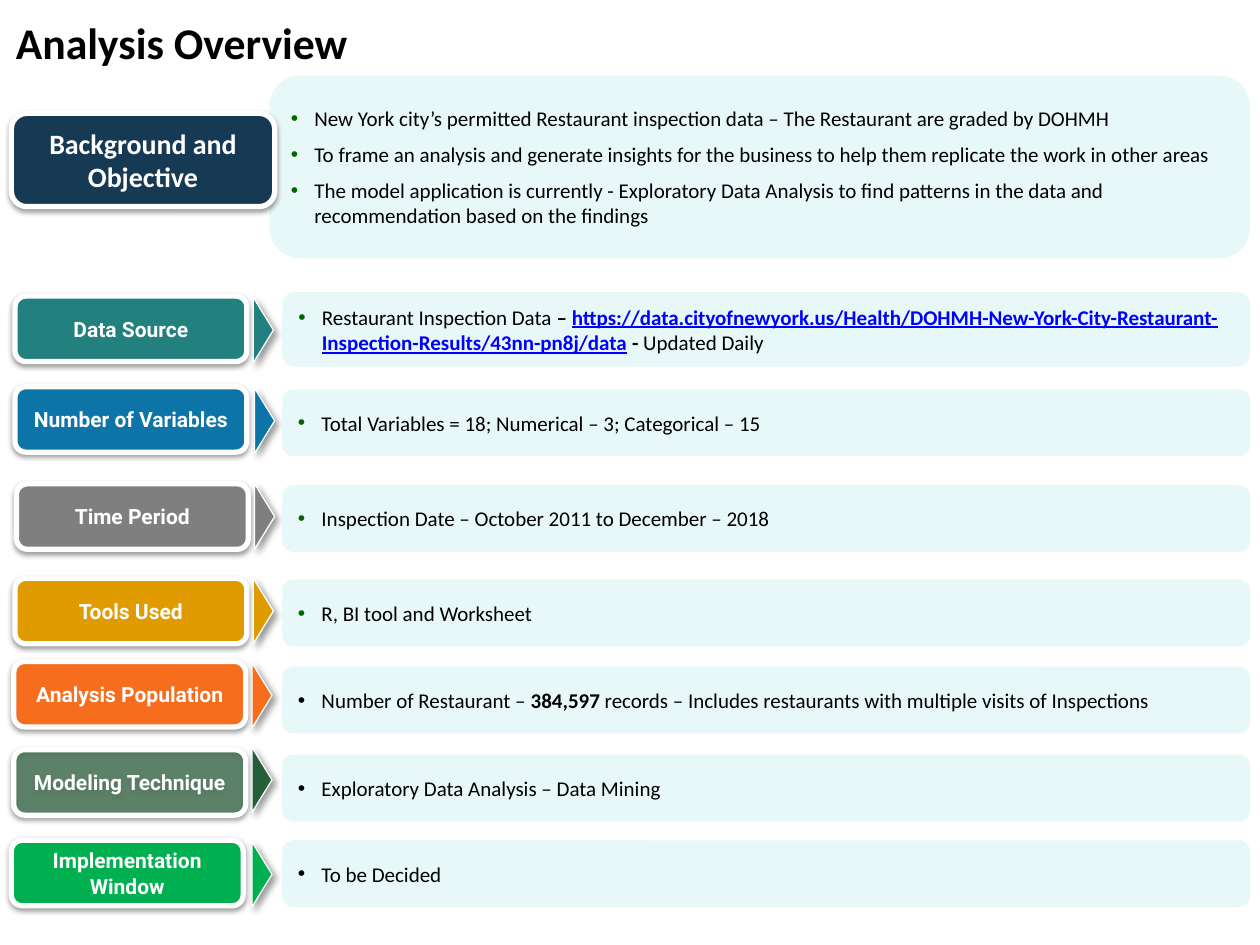
from lxml import etree
from pptx import Presentation
from pptx.dml.color import RGBColor
from pptx.enum import shapes, text
from pptx.oxml import ns
from pptx.util import Pt

TITLE = "Analysis Overview"
OBJECTIVE = "Background and Objective"
GREEN, BLACK, WHITE, PALE = "006600", "000000", "FFFFFF", "E8F8F8"
BACKGROUND = [
    "New York city’s permitted Restaurant inspection data – The Restaurant are graded by DOHMH",
    "To frame an analysis and generate insights for the business to help them replicate the work in other areas",
    "The model application is currently - Exploratory Data Analysis to find patterns in the data and "
    "recommendation based on the findings",
]
URL = "https://data.cityofnewyork.us/Health/DOHMH-New-York-City-Restaurant-Inspection-Results/43nn-pn8j/data"
BOLD = {"bold": True}
LINK = {"bold": True, "underline": True, "color": "0000FF"}

ROWS = [
    dict(label="Data Source", color="22807F", label_at=(8.6, 169.2), arrow_at=(131.8, 182.9),
         panel_top=167, panel_height=42.5, bullet=GREEN,
         detail=[("Restaurant Inspection Data", {}), (" – ", BOLD), (URL, LINK), (" - ", BOLD),
                 ("Updated Daily", {})]),
    dict(label="Number of Variables", color="0D74A8", label_at=(8.6, 221), arrow_at=(132.5, 234.7),
         panel_top=222.5, bullet=GREEN,
         detail=[("Total Variables = 18; Numerical – 3; Categorical – 15", {})]),
    dict(label="Time Period", color="7F7F7F", label_at=(9.4, 276.5), arrow_at=(132.5, 289.4),
         panel_top=277.2, bullet=GREEN,
         detail=[("Inspection Date – October 2011 to December – 2018", {})]),
    dict(label="Tools Used", color="E09B00", label_at=(8.6, 330.5), arrow_at=(131.8, 343.4),
         panel_top=331.2, bullet=GREEN, detail=[("R, BI tool and Worksheet", {})]),
    dict(label="Analysis Population", color="F56D1D", label_at=(7.9, 378), arrow_at=(131, 391.7),
         panel_top=380.9,
         detail=[("Number of Restaurant – ", {}), ("384,597", BOLD),
                 (" records – Includes restaurants with multiple visits of Inspections", {})]),
    dict(label="Modeling Technique", color="255F38", opacity=64, label_at=(7.9, 428.4),
         arrow_at=(131, 439.9), panel_top=431.3,
         detail=[("Exploratory Data Analysis – Data Mining", {})]),
    dict(label="Implementation Window", color="00B050", label_at=(6.5, 480.2), arrow_at=(131, 493.9),
         panel_top=480.2, detail=[("To be Decided", {})]),
]

LABEL_SIZE = (132.5, 37.4)
ARROW_SIZE = (37.4, 11.5)
PANEL_LEFT, PANEL_WIDTH, PANEL_HEIGHT = 161.3, 553, 38.2
LABEL_SHADOW = (38, 3.1, 1.6, 90)
ARROW_SHADOW = (40, 4, 3, 45)


def rgb(color):
    return RGBColor.from_string(color)


def add_element(parent, tag, **attributes):
    element = etree.SubElement(parent, ns.qn(tag))
    for name, value in attributes.items():
        element.set(name, str(value))
    return element


def add_bullet(paragraph, color):
    properties = paragraph._p.get_or_add_pPr()
    properties.set("marL", str(Pt(13.5)))
    properties.set("indent", str(-Pt(13.5)))
    if color:
        add_element(add_element(properties, "a:buClr"), "a:srgbClr", val=color)
    add_element(properties, "a:buFont", typeface="Arial")
    add_element(properties, "a:buChar", char="•")


def write(shape, paragraphs, size=12, font="Calibri", color=BLACK, bold=False,
          align=text.PP_ALIGN.LEFT, bulleted=False, bullet_color=None):
    frame = shape.text_frame
    frame.word_wrap = True
    frame.vertical_anchor = text.MSO_ANCHOR.MIDDLE
    for index, runs in enumerate(paragraphs):
        paragraph = frame.add_paragraph() if index else frame.paragraphs[0]
        paragraph.alignment = align
        if index:
            paragraph.space_before = Pt(6)
        if bulleted:
            add_bullet(paragraph, bullet_color)
        for words, style in runs:
            run = paragraph.add_run()
            run.text = words
            run.font.name = font
            run.font.size = Pt(size)
            run.font.bold = style.get("bold", bold)
            run.font.underline = style.get("underline", False)
            run.font.color.rgb = rgb(style.get("color", color))


def add_box(slide, kind, position, extent, fill, line_width=0, shadow=None, opacity=100):
    shape = slide.shapes.add_shape(kind, *map(Pt, position + extent))
    shape.fill.solid()
    shape.fill.fore_color.rgb = rgb(fill)
    if opacity < 100:
        fill_color = shape._element.spPr.find(".//" + ns.qn("a:srgbClr"))
        add_element(fill_color, "a:alpha", val=opacity * 1000)
    if line_width:
        shape.line.color.rgb = rgb(WHITE)
        shape.line.width = Pt(line_width)
    else:
        shape.line.fill.background()
    shape.shadow.inherit = False
    if shadow:
        strength, blur, distance, angle = shadow
        effects = shape._element.spPr.find(ns.qn("a:effectLst"))
        outer = add_element(effects, "a:outerShdw", blurRad=Pt(blur), dist=Pt(distance),
                            dir=angle * 60000, rotWithShape=0)
        shadow_color = add_element(outer, "a:srgbClr", val=BLACK)
        add_element(shadow_color, "a:alpha", val=strength * 1000)
    return shape


def add_label(slide, words, position, extent, fill, opacity=100, **style):
    label = add_box(slide, shapes.MSO_SHAPE.ROUNDED_RECTANGLE, position, extent, fill,
                    3, LABEL_SHADOW, opacity)
    write(label, [[(words, {})]], color=WHITE, bold=True, align=text.PP_ALIGN.CENTER, **style)


def add_panel(slide, paragraphs, position, extent, bullet_color):
    panel = add_box(slide, shapes.MSO_SHAPE.ROUNDED_RECTANGLE, position, extent, PALE)
    write(panel, paragraphs, bulleted=True, bullet_color=bullet_color)


def add_row(slide, row):
    add_label(slide, row["label"], row["label_at"], LABEL_SIZE, row["color"],
              row.get("opacity", 100), font="Roboto")
    arrow = add_box(slide, shapes.MSO_SHAPE.ISOSCELES_TRIANGLE, row["arrow_at"], ARROW_SIZE,
                    row["color"], 0.75, ARROW_SHADOW)
    arrow.rotation = 90
    add_panel(slide, [row["detail"]], (PANEL_LEFT, row["panel_top"]),
              (PANEL_WIDTH, row.get("panel_height", PANEL_HEIGHT)), row.get("bullet"))


def main():
    presentation = Presentation()
    presentation.slide_width, presentation.slide_height = Pt(720), Pt(540)
    slide = presentation.slides.add_slide(presentation.slide_layouts[6])
    add_panel(slide, [[(line, {})] for line in BACKGROUND], (154, 43.2), (560.2, 104.4), GREEN)
    title = slide.shapes.add_textbox(Pt(2), Pt(1.5), Pt(712), Pt(44.6))
    write(title, [[(TITLE, {})]], size=25, bold=True)
    add_label(slide, OBJECTIVE, (6.5, 64.8), (150.5, 53.3), "163A53", size=16)
    for row in ROWS:
        add_row(slide, row)
    presentation.save("out.pptx")


if __name__ == "__main__":
    main()
